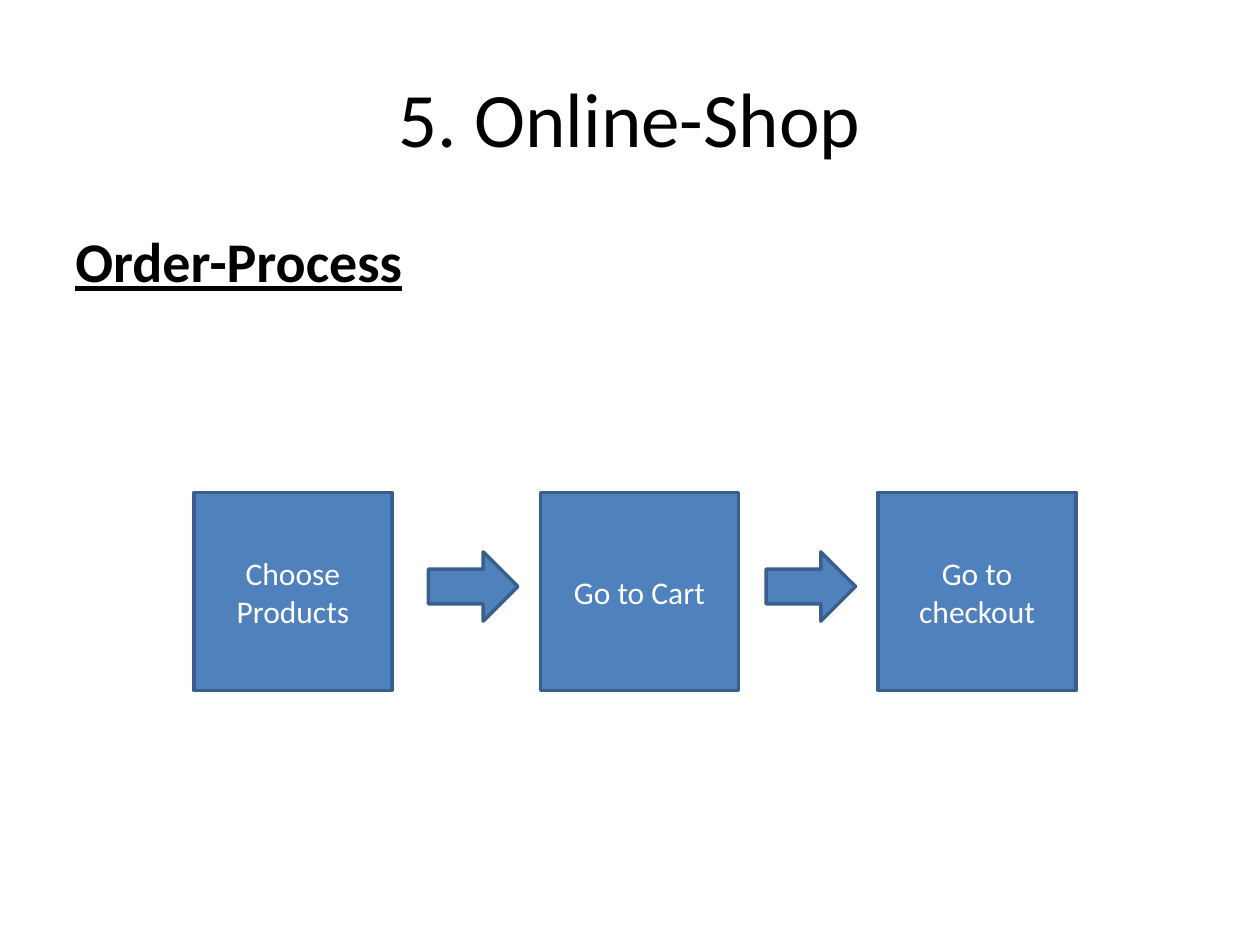
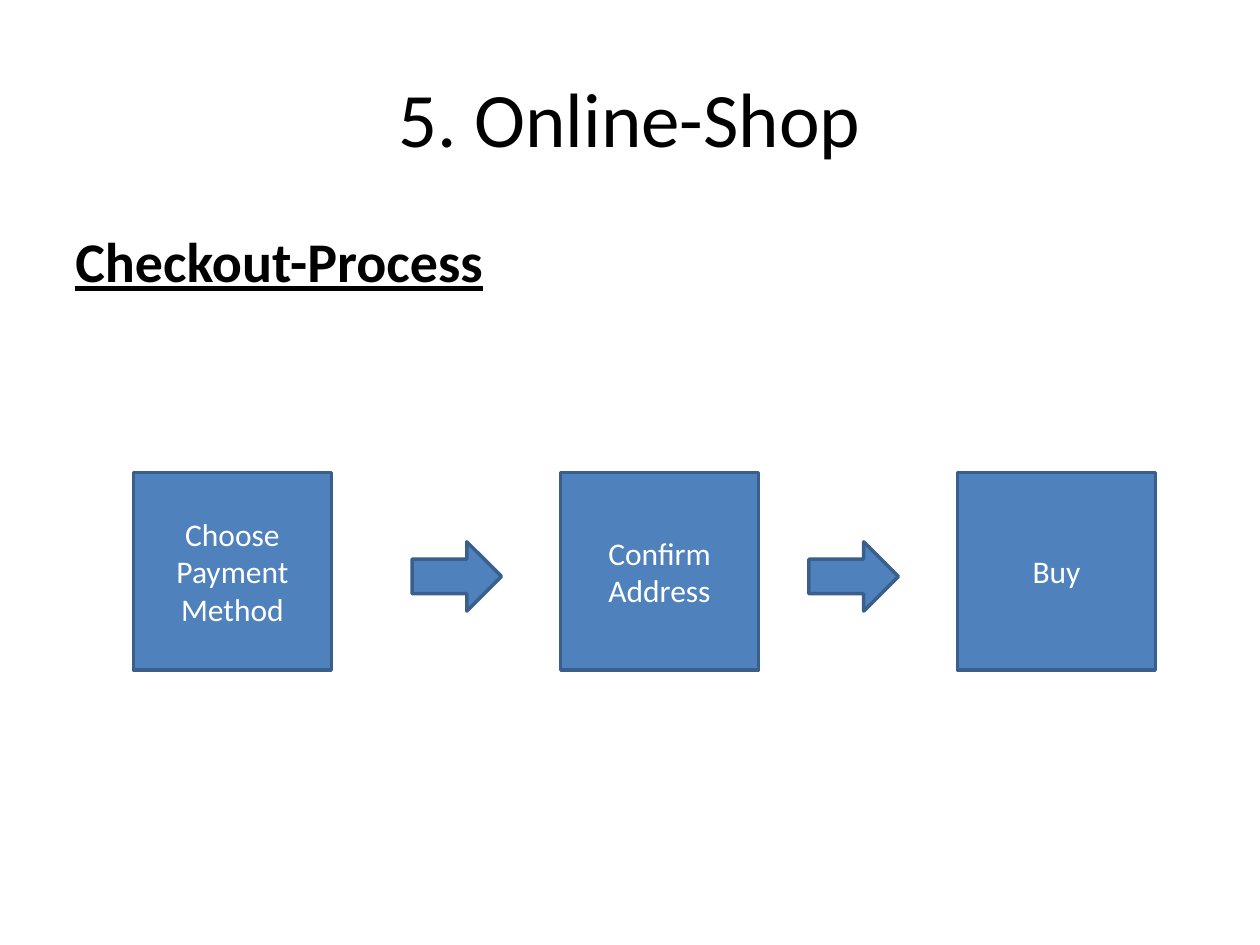
import pptx
import pptx.util
import pptx.dml.color
import pptx.enum.shapes
import pptx.enum.text

COLORS = {"text": "000000", "fill": "4F81BD", "line": "3A5F8C", "label": "FFFFFF"}
FONT = "Calibri"
SHAPE = pptx.enum.shapes.MSO_SHAPE
ALIGN = pptx.enum.text.PP_ALIGN
ANCHOR = pptx.enum.text.MSO_ANCHOR

deck = pptx.Presentation()
deck.slide_width = pptx.util.Inches(10)
deck.slide_height = pptx.util.Inches(7.5)
column = deck.slide_width / 100
row = deck.slide_height / 75


def write(box, text, size=18, color="text", align=ALIGN.CENTER,
          anchor=ANCHOR.MIDDLE, bold=False, underline=False):
    frame = box.text_frame
    frame.word_wrap = True
    frame.vertical_anchor = anchor
    for index, line in enumerate(text.split("\n")):
        para = frame.add_paragraph() if index else frame.paragraphs[0]
        para.alignment = align
        span = para.add_run()
        span.text = line
        span.font.name = FONT
        span.font.size = pptx.util.Pt(size)
        span.font.bold = bold
        span.font.underline = underline
        span.font.color.rgb = pptx.dml.color.RGBColor.from_string(COLORS[color])


def add_block(page, kind, left, top, width, height):
    block = page.shapes.add_shape(kind, int(left * column), int(top * row),
                                  int(width * column), int(height * row))
    block.shadow.inherit = False
    block.fill.solid()
    block.fill.fore_color.rgb = pptx.dml.color.RGBColor.from_string(COLORS["fill"])
    block.line.color.rgb = pptx.dml.color.RGBColor.from_string(COLORS["line"])
    block.line.width = pptx.util.Pt(2)
    return block


TITLE = "5. Online-Shop"
STEP_SIZE = 15.7
ARROW_WIDTH, ARROW_HEIGHT = 7.1, 5.5

processes = [
    {"heading": "Order-Process", "top": 39.1, "arrow_top": 43.8, "arrow_lead": 8.9,
     "steps": [("Choose Products", 15.4), ("Go to Cart", 42.9), ("Go to checkout", 69.7)]},
    {"heading": "Checkout-Process", "top": 37.5, "arrow_top": 43, "arrow_lead": 11.8,
     "steps": [("Choose Payment Method", 10.6), ("Confirm\nAddress", 44.5), ("Buy", 76)]},
]

for process in processes:
    page = deck.slides.add_slide(deck.slide_layouts[6])

    title = page.shapes.add_textbox(int(5 * column), int(3 * row),
                                    int(90 * column), int(12.5 * row))
    write(title, TITLE, size=44)

    heading = page.shapes.add_textbox(int(5 * column), int(17.5 * row),
                                      int(90 * column), int(6.6 * row))
    write(heading, process["heading"], size=32, align=ALIGN.LEFT,
          anchor=ANCHOR.TOP, bold=True, underline=True)

    for number, (label, left) in enumerate(process["steps"]):
        step = add_block(page, SHAPE.RECTANGLE, left, process["top"], STEP_SIZE, STEP_SIZE)
        write(step, label, color="label")
        if number:
            add_block(page, SHAPE.RIGHT_ARROW, left - process["arrow_lead"],
                      process["arrow_top"], ARROW_WIDTH, ARROW_HEIGHT)

deck.save("out.pptx")
